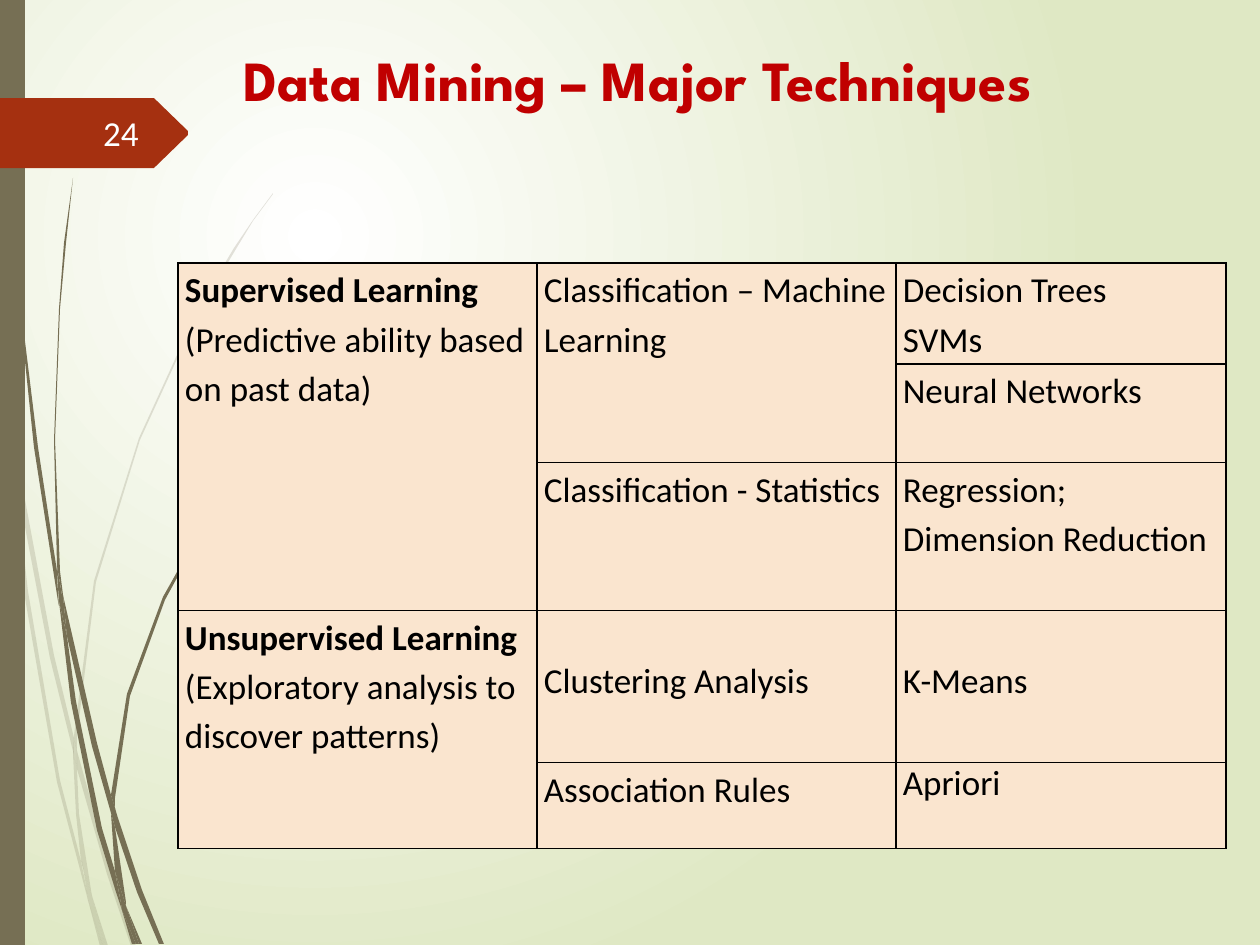
import pptx
import pptx.util
import pptx.dml.color
import pptx.enum.text
import pptx.oxml
import pptx.oxml.ns
from lxml import etree

PX = pptx.util.Inches(1) / 126
RGB = pptx.dml.color.RGBColor
WHITE = RGB(0xFF, 0xFF, 0xFF)
PALE_GREEN = RGB(0xDF, 0xE8, 0xC4)
OLIVE = RGB(0x76, 0x6F, 0x54)
RUST = RGB(0xA5, 0x30, 0x10)
RED = RGB(0xC0, 0x00, 0x00)
NUMBER_WHITE = RGB(0xFE, 0xFF, 0xFF)
PEACH = RGB(0xFA, 0xE5, 0xCF)
BLACK = RGB(0x00, 0x00, 0x00)

TITLE = "Data Mining – Major Techniques"
PAGE_NUMBER = "24"

# (row, column, rows spanned, lines, format)
HEADED = {"bold_first": True}
LOWERED = {"margin_top": 43}
TECHNIQUES = [
    (0, 0, 3, ["Supervised Learning", "(Predictive ability based on past data)"], HEADED),
    (0, 1, 2, ["Classification – Machine Learning"], {}),
    (0, 2, 1, ["Decision Trees", "SVMs"], {}),
    (1, 2, 1, ["Neural Networks"], {}),
    (2, 1, 1, ["Classification - Statistics"], {}),
    (2, 2, 1, ["Regression;", "Dimension Reduction"], {}),
    (3, 0, 2, ["Unsupervised Learning", "(Exploratory analysis to discover patterns)"], HEADED),
    (3, 1, 1, ["Clustering Analysis"], LOWERED),
    (3, 2, 1, ["K-Means"], LOWERED),
    (4, 1, 1, ["Association Rules"], {}),
    (4, 2, 1, ["Apriori"], {"line_spacing": 1.0}),
]
COLUMN_WIDTHS = [359, 359, 330]
ROW_HEIGHTS = [101, 98, 148, 152, 86]
TABLE_LEFT, TABLE_TOP = 178, 263

FAINT_BLADES = [
    [(10, 441), (8, 406), (0, 355), (0, 377), (9, 433)],
    [(50, 658), (74, 755), (74, 738), (54, 655), (13, 435), (15, 474)],
    [(81, 765), (77, 751), (77, 769), (107, 874), (131, 946), (136, 946), (111, 872)],
    [(105, 946), (108, 946), (92, 896)],
    [(81, 861), (60, 780), (28, 591), (15, 474), (10, 441), (24, 592), (57, 782),
     (81, 873), (88, 900), (87, 891)],
    [(73, 755), (76, 814), (81, 861), (84, 872), (92, 896), (91, 890), (79, 814),
     (77, 769), (77, 766)],
    [(77, 736), (96, 582), (140, 440), (200, 309), (236, 249), (253, 221), (273, 194),
     (273, 193), (253, 220), (234, 248), (199, 307), (139, 438), (94, 581), (74, 736),
     (74, 738), (77, 751)],
    [(88, 900), (100, 946), (103, 946)],
    [(77, 766), (77, 769), (77, 751), (74, 738), (73, 755)],
    [(84, 872), (82, 861), (87, 891), (88, 900), (103, 946), (105, 946), (92, 896)],
]
DARK_BLADES = [
    [(6, 139), (18, 294), (34, 447), (58, 601), (59, 606), (57, 576), (57, 571),
     (38, 447), (19, 292), (8, 137), (5, 60), (4, 0), (3, 0), (4, 60)],
    [(92, 746), (111, 813), (111, 798), (111, 795), (97, 743), (63, 595), (67, 636)],
    [(118, 818), (115, 808), (115, 827), (137, 892), (159, 944), (164, 944), (142, 890)],
    [(115, 871), (102, 828), (76, 701), (67, 636), (59, 601), (71, 702), (97, 830),
     (116, 892), (122, 910), (121, 903)],
    [(63, 595), (60, 571), (55, 440), (60, 309), (66, 243), (73, 178), (64, 243),
     (59, 309), (54, 440), (57, 566), (62, 595)],
    [(139, 944), (142, 944), (126, 906)],
    [(59, 601), (67, 636), (63, 595), (62, 595), (57, 566), (57, 571)],
    [(115, 798), (130, 696), (165, 600), (213, 512), (241, 471), (256, 452), (272, 433),
     (271, 433), (256, 451), (241, 470), (212, 510), (163, 597), (127, 694), (111, 795),
     (115, 808)],
    [(122, 910), (132, 944), (136, 944)],
    [(111, 813), (115, 871), (121, 890), (126, 906), (126, 902), (115, 827), (113, 820)],
    [(111, 813), (113, 820), (115, 827), (115, 808), (111, 795), (111, 798)],
    [(121, 890), (115, 871), (121, 903), (122, 910), (136, 944), (139, 944), (126, 906)],
]
SIDE_BAR = (0, 0, 25, 945)
NUMBER_TAG = [(0, 98), (154, 98), (188, 131), (188, 135), (154, 168), (0, 168)]


def px(count):
    return pptx.util.Emu(round(count * PX))


def apply(target, values):
    for key, value in values.items():
        setattr(target, key, value)


def add_xml(parent, tag, **attributes):
    return etree.SubElement(parent, pptx.oxml.ns.qn(tag), attributes)


def paint(shape, color, opacity=100):
    shape.shadow.inherit = False
    shape.line.fill.background()
    shape.fill.solid()
    shape.fill.fore_color.rgb = color
    if opacity < 100:
        solid = shape.element.spPr.find(pptx.oxml.ns.qn("a:solidFill"))
        add_xml(solid[0], "a:alpha", val=str(opacity * 1000))


def add_outline(slide, points, color, opacity=100):
    builder = slide.shapes.build_freeform(*points[0], scale=PX)
    builder.add_line_segments(points[1:], close=True)
    paint(builder.convert_to_shape(), color, opacity)


def set_background(slide):
    fill = slide.background.fill
    fill.gradient()
    for stop, color in zip(fill.gradient_stops, (WHITE, PALE_GREEN)):
        stop.color.rgb = color
    gradient = slide.element.find(".//" + pptx.oxml.ns.qn("a:gradFill"))
    gradient.remove(gradient.find(pptx.oxml.ns.qn("a:lin")))
    glow = add_xml(gradient, "a:path", path="circle")
    add_xml(glow, "a:fillToRect", l="50000", t="50000", r="100000", b="100000")


def write(paragraph, text, color, **font):
    paragraph.text = text
    apply(paragraph.font, font)
    paragraph.font.color.rgb = color


def style_cell(cell):
    properties = cell._tc.get_or_add_tcPr()
    for side in ("a:lnL", "a:lnR", "a:lnT", "a:lnB"):
        border = add_xml(properties, side, w=str(pptx.util.Pt(1)))
        add_xml(add_xml(border, "a:solidFill"), "a:srgbClr", val=str(BLACK))
    cell.fill.solid()
    cell.fill.fore_color.rgb = PEACH


def add_techniques(slide):
    frame = slide.shapes.add_table(
        len(ROW_HEIGHTS), len(COLUMN_WIDTHS), px(TABLE_LEFT), px(TABLE_TOP),
        px(sum(COLUMN_WIDTHS)), px(sum(ROW_HEIGHTS)))
    table = frame.table
    apply(table, {"first_row": False, "horz_banding": False})
    for column, width in zip(table.columns, COLUMN_WIDTHS):
        column.width = px(width)
    for row, height in zip(table.rows, ROW_HEIGHTS):
        row.height = px(height)
    for cell in table.iter_cells():
        style_cell(cell)
    for row, column, span, lines, style in TECHNIQUES:
        cell = table.cell(row, column)
        if span > 1:
            cell.merge(table.cell(row + span - 1, column))
        apply(cell, {"margin_left": px(7), "margin_right": px(7),
                     "margin_top": px(style.get("margin_top", 0)), "margin_bottom": 0})
        cell.text = "\n".join(lines)
        for index, paragraph in enumerate(cell.text_frame.paragraphs):
            paragraph.line_spacing = style.get("line_spacing", 1.15)
            write(paragraph, lines[index], BLACK, name="Calibri", size=pptx.util.Pt(20),
                  bold=index == 0 and style.get("bold_first", False))


def main():
    deck = pptx.Presentation()
    apply(deck, {"slide_width": px(1260), "slide_height": px(945)})
    slide = deck.slides.add_slide(deck.slide_layouts[5])
    set_background(slide)

    for blades, opacity in ((FAINT_BLADES, 20), (DARK_BLADES, 100)):
        for blade in blades:
            add_outline(slide, blade, OLIVE, opacity)
    add_outline(slide, [(0, 0), (25, 0), (25, 945), (0, 945)], OLIVE)
    add_outline(slide, NUMBER_TAG, RUST)

    title = slide.shapes.title
    apply(title, {"left": px(231), "top": px(39), "width": px(910), "height": px(157)})
    title.text_frame.vertical_anchor = pptx.enum.text.MSO_ANCHOR.TOP
    heading = title.text_frame.paragraphs[0]
    write(heading, TITLE, RED, name="League Spartan", size=pptx.util.Pt(32.4), bold=True)
    heading.alignment = pptx.enum.text.PP_ALIGN.LEFT

    add_techniques(slide)

    number = slide.shapes.add_textbox(px(59), px(108), px(92), px(49)).text_frame
    apply(number, {"word_wrap": True, "vertical_anchor": pptx.enum.text.MSO_ANCHOR.MIDDLE})
    write(number.paragraphs[0], PAGE_NUMBER, NUMBER_WHITE, name="Calibri",
          size=pptx.util.Pt(20))
    number.paragraphs[0].alignment = pptx.enum.text.PP_ALIGN.RIGHT

    deck.save("out.pptx")


if __name__ == "__main__":
    main()
